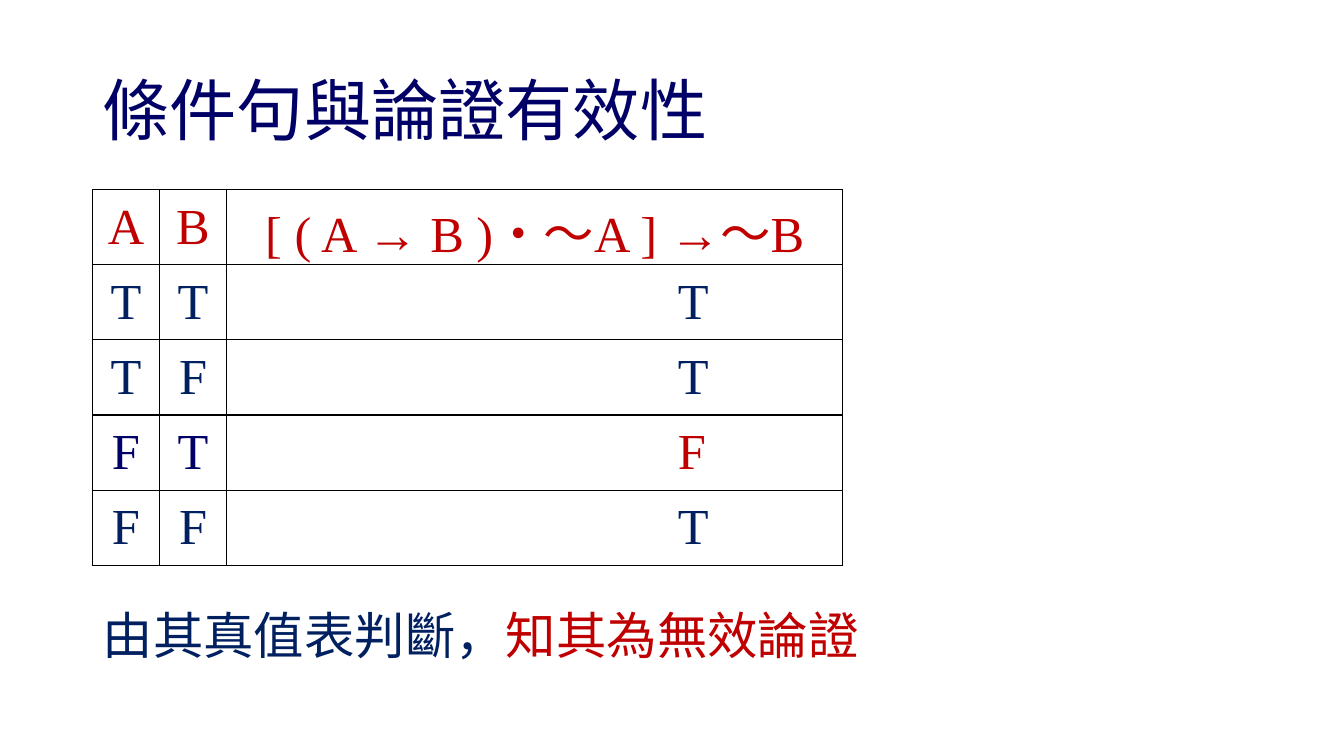
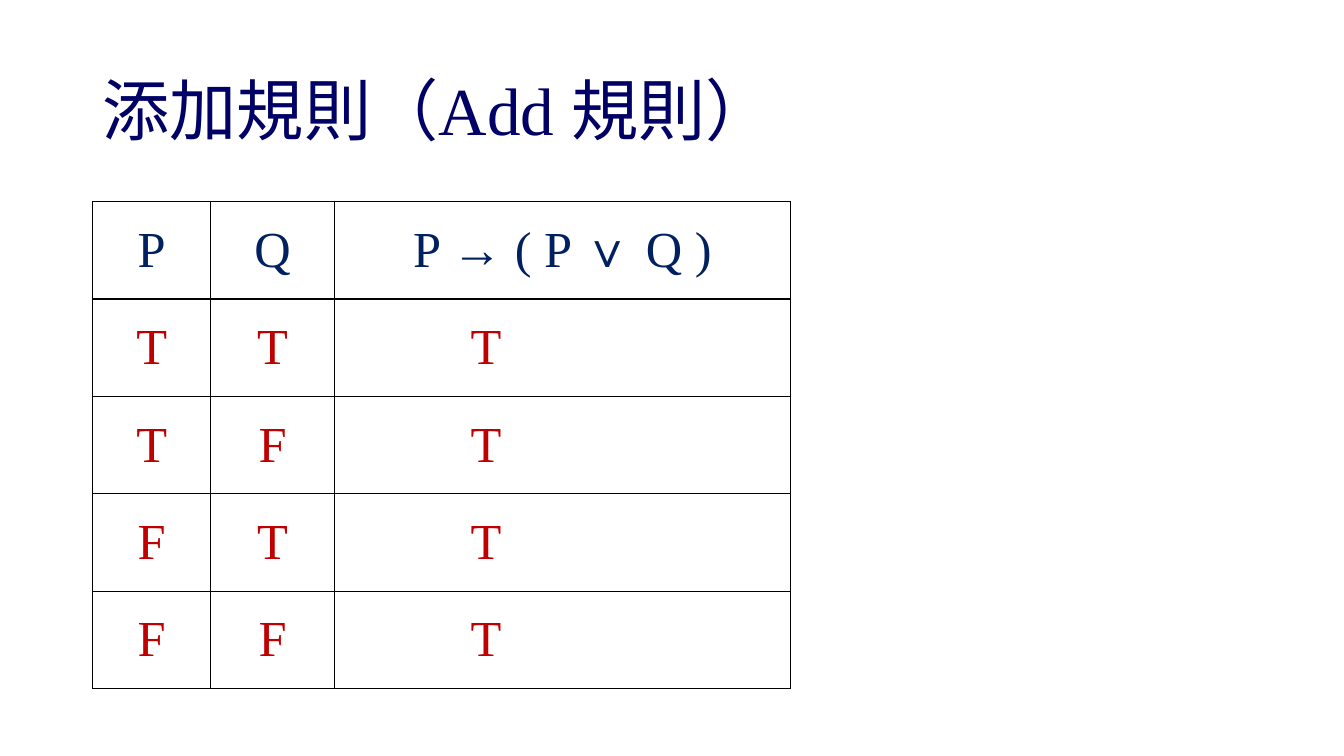
from lxml import etree
from pptx import Presentation
from pptx import util as u
from pptx.dml import color
from pptx.enum import text
from pptx.oxml import ns

NAVY, BLUE, RED, BLACK = "000066", "002060", "C00000", "000000"
SERIF, SANS = "Times New Roman", "Calibri"
LEFT = 66.24


def rgb(value):
    """Turn a hex string into a colour."""
    return color.RGBColor.from_string(value)


class Deck:
    """Hold the shared style and the current slide."""

    def __init__(self):
        """Start an empty widescreen deck."""
        self.prs = Presentation()
        self.prs.slide_width, self.prs.slide_height = u.Pt(960), u.Pt(540)

    def slide(self, title, font=SERIF):
        """Add a blank slide with its title."""
        self.s = self.prs.slides.add_slide(self.prs.slide_layouts[6])
        self.text((LEFT, 28.8, 828, 104.4), [(title, NAVY)], 48, font,
                  text.MSO_ANCHOR.MIDDLE)

    def text(self, box, runs, size, font=SERIF, anchor=text.MSO_ANCHOR.TOP):
        """Add a one-paragraph text box of coloured runs."""
        tf = self.s.shapes.add_textbox(*map(u.Pt, box)).text_frame
        tf.word_wrap, tf.vertical_anchor = True, anchor
        p = tf.paragraphs[0]
        p.line_spacing = 0.9
        p.font.size, p.font.name = u.Pt(size), font
        for words, ink in runs:
            r = p.add_run()
            r.text, r.font.color.rgb = words, rgb(ink)

    def border(self, cell):
        """Draw a thin black line on each side of a cell."""
        tc_pr = cell._tc.get_or_add_tcPr()
        for i, side in enumerate(("a:lnL", "a:lnR", "a:lnT", "a:lnB")):
            line = etree.Element(ns.qn(side), w=str(u.Pt(1)))
            fill = etree.SubElement(line, ns.qn("a:solidFill"))
            etree.SubElement(fill, ns.qn("a:srgbClr"), val=BLACK)
            tc_pr.insert(i, line)

    def truth_table(self, top, widths, height, rows, inks, indent):
        """Add a truth table whose results start at the given indent."""
        table = self.s.shapes.add_table(
            len(rows), len(widths), u.Pt(LEFT), u.Pt(top),
            u.Pt(sum(widths)), u.Pt(height * len(rows))).table
        table.first_row = table.horz_banding = False
        for column, width in zip(table.columns, widths):
            column.width = u.Pt(width)
        for i, (row, row_inks) in enumerate(zip(rows, inks)):
            table.rows[i].height = u.Pt(height)
            for j, (words, ink) in enumerate(zip(row, row_inks)):
                cell = table.cell(i, j)
                cell.fill.background()
                self.border(cell)
                cell.vertical_anchor = text.MSO_ANCHOR.MIDDLE
                p = cell.text_frame.paragraphs[0]
                p.text = words
                p.font.size, p.font.name = u.Pt(36), SERIF
                p.font.color.rgb = rgb(ink)
                if i and j == len(widths) - 1:
                    cell.margin_left = u.Pt(indent)
                else:
                    p.alignment = text.PP_ALIGN.CENTER


def truth_rows(header, results):
    """Pair each valuation of two letters with its result."""
    return [header, *zip("TTFF", "TFTF", results)]


deck = Deck()

deck.slide("條件句與論證有效性", SANS)
deck.truth_table(
    135.36, (47.52, 48.24, 439.92), 53.71,
    truth_rows(("A", "B", "[ ( A → B )・～A ] →～B"), "TTFT"),
    [[RED] * 3, [BLUE] * 3, [BLUE] * 3, [NAVY, NAVY, RED], [BLUE] * 3], 322.2)
deck.text((LEFT, 432.72, 568.8, 54),
          [("由其真值表判斷，", BLUE), ("知其為無效論證", RED)], 36)

deck.slide("添加規則（Add 規則）")
deck.truth_table(
    144, (84.24, 88.56, 325.44), 69.6,
    truth_rows(("P", "Q", "P → ( P ∨ Q )"), "TTTT"),
    [[BLUE] * 3] + [[RED] * 3] * 4, 97.2)

deck.prs.save("out.pptx")
